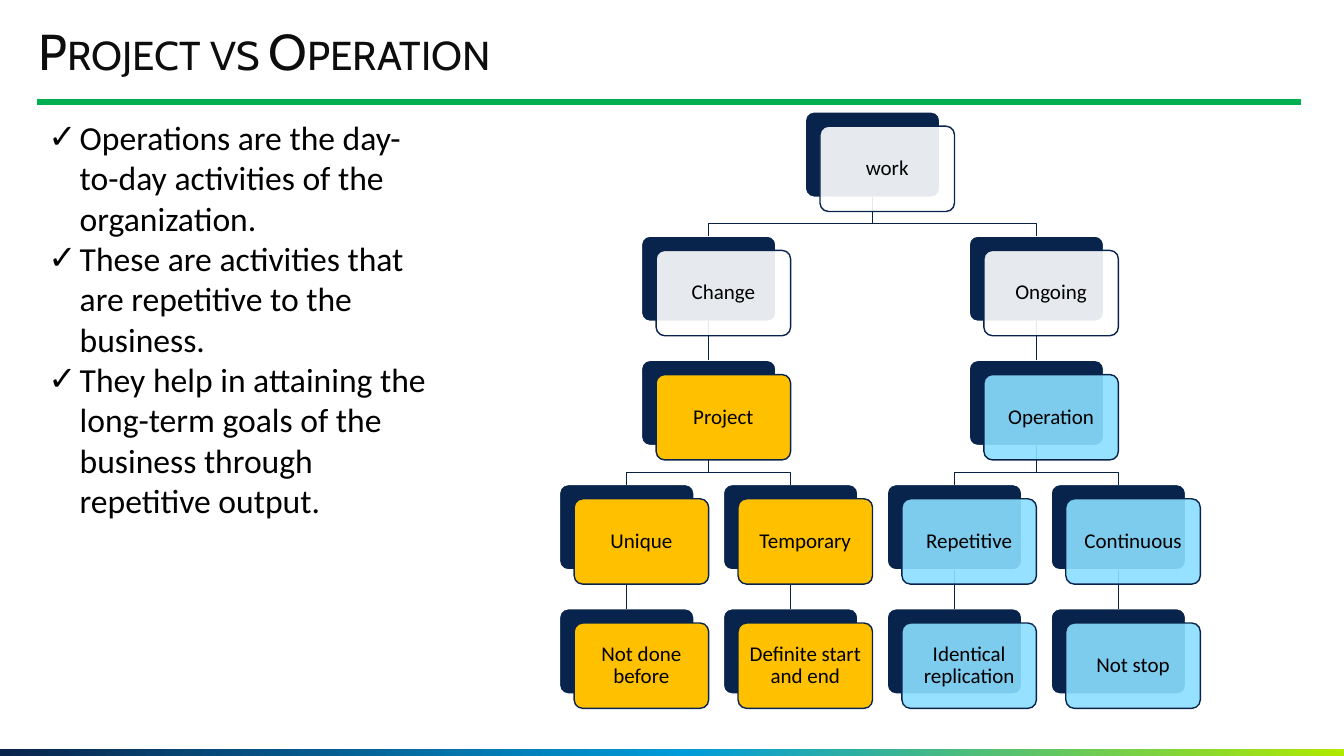
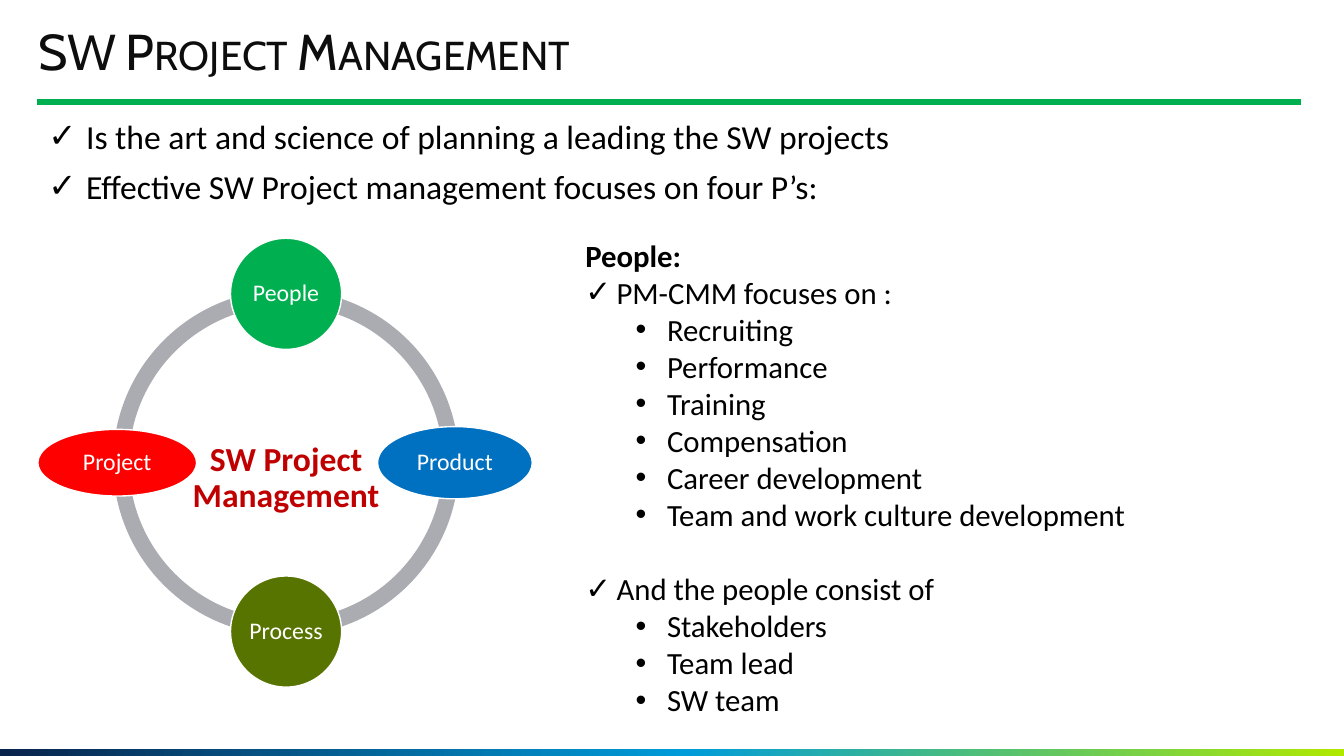
from lxml.etree import SubElement
from pptx import Presentation
from pptx.dml.color import RGBColor
from pptx.enum.shapes import MSO_CONNECTOR, MSO_SHAPE as Preset
from pptx.enum.text import MSO_ANCHOR as Anchor, PP_ALIGN as Align
from pptx.oxml.ns import qn
from pptx.util import Cm, Pt

WHITE = RGBColor(0xFF, 0xFF, 0xFF)
BLACK = RGBColor(0, 0, 0)
TITLE_INK = RGBColor(0x0D, 0x0D, 0x0D)
NAVY = RGBColor(0x09, 0x24, 0x4C)
LINK_NAVY = RGBColor(0x08, 0x21, 0x45)
BLUE = RGBColor(0x00, 0x9C, 0xDA)
LIME = RGBColor(0xB0, 0xE9, 0x00)
GREEN = RGBColor(0x00, 0xB0, 0x50)
AMBER = RGBColor(0xFF, 0xC0, 0x00)
SKY = RGBColor(0x8A, 0xDE, 0xFF)
RING_GREY = RGBColor(0xAB, 0xAC, 0xB2)
PRODUCT_BLUE = RGBColor(0x00, 0x70, 0xC0)
OLIVE = RGBColor(0x58, 0x74, 0x00)
RED = RGBColor(0xFF, 0, 0)
DARK_RED = RGBColor(0xC0, 0, 0)

TITLE_FONT, BODY_FONT = "Cabin", "Calibri"
SLIDE_W, SLIDE_H = 33.87, 19.05
MARGIN = 0.97
BAND_H = 0.18
CHECK, DOT = "✓", "•"

CARD_W, CARD_H = 3.39, 2.15
CARD_SHIFT_X, CARD_SHIFT_Y = 0.37, 0.36
COLUMN_PITCH, LEVEL_PITCH = 4.13, 3.13
ELBOW_DROP = 0.67

# Each node: label, fill, opacity in percent, children
WORK_TREE = ("work", WHITE, 90, [
    ("Change", WHITE, 90, [
        ("Project", AMBER, 100, [
            ("Unique", AMBER, 100, [("Not done before", AMBER, 100, [])]),
            ("Temporary", AMBER, 100, [("Definite start and end", AMBER, 100, [])]),
        ])]),
    ("Ongoing", WHITE, 90, [
        ("Operation", SKY, 90, [
            ("Repetitive", SKY, 90, [("Identical replication", SKY, 90, [])]),
            ("Continuous", SKY, 90, [("Not stop", SKY, 90, [])]),
        ])]),
])

# Label, fill, width, height, direction from the ring's centre
FOUR_PS = [
    ("People", GREEN, 2.8, 2.8, (0, -1)),
    ("Product", PRODUCT_BLUE, 3.9, 1.82, (1, 0)),
    ("Process", OLIVE, 2.8, 2.8, (0, 1)),
    ("Project", RED, 4, 1.68, (-1, 0)),
]

OPERATION_POINTS = [
    "Operations are the day-to-day activities of the organization.",
    "These are activities that are repetitive to the business.",
    "They help in attaining the long-term goals of the business through repetitive output.",
]
MANAGEMENT_POINTS = [
    "Is the art and science of planning a leading the SW projects",
    "Effective SW Project management focuses on four P’s:",
]
PEOPLE_GROUPS = [
    ("PM-CMM focuses on :", ["Recruiting", "Performance", "Training", "Compensation",
                             "Career development", "Team and work culture development"]),
    ("And the people consist of", ["Stakeholders", "Team lead", "SW team"]),
]


def style_runs(paragraph, size, color, font=BODY_FONT, bold=False):
    for run in paragraph.runs:
        run.font.name = font
        run.font.size = Pt(size)
        run.font.bold = bold
        run.font.color.rgb = color


def set_bullet(paragraph, mark, left, hang):
    props = paragraph._p.get_or_add_pPr()
    props.set("marL", str(Cm(left)))
    props.set("indent", str(-Cm(hang)))
    SubElement(props, qn("a:buFont"), typeface="Arial")
    SubElement(props, qn("a:buChar"), char=mark)


def add_text_area(slide, left, top, width, height, inset=None):
    area = slide.shapes.add_textbox(Cm(left), Cm(top), Cm(width), Cm(height))
    area.text_frame.word_wrap = True
    if inset is not None:
        set_insets(area.text_frame, inset)
    return area.text_frame


def set_insets(frame, inset):
    frame.margin_left = frame.margin_right = Cm(inset)
    frame.margin_top = frame.margin_bottom = Cm(inset)


def write_label(frame, text, size, color, inset, bold=False):
    """Write one centred label in the middle of a frame."""
    frame.word_wrap = True
    frame.vertical_anchor = Anchor.MIDDLE
    set_insets(frame, inset)
    frame.text = text
    label = frame.paragraphs[0]
    label.alignment = Align.CENTER
    label.line_spacing = 0.9
    style_runs(label, size, color, bold=bold)


def append_paragraph(frame, text):
    first = frame.paragraphs[0]
    paragraph = frame.add_paragraph() if first.runs else first
    paragraph.text = text
    return paragraph


def add_solid(slide, preset, left, top, width, height, fill, outline=None, opacity=100):
    solid = slide.shapes.add_shape(preset, Cm(left), Cm(top), Cm(width), Cm(height))
    solid.shadow.inherit = False
    solid.fill.solid()
    solid.fill.fore_color.rgb = fill
    if opacity < 100:
        tint = solid.element.spPr.find(qn("a:solidFill")).find(qn("a:srgbClr"))
        SubElement(tint, qn("a:alpha"), val=str(opacity * 1000))
    if outline is None:
        solid.line.fill.background()
    else:
        solid.line.color.rgb = outline
        solid.line.width = Pt(1)
    return solid


def add_line(slide, start, end, color, width):
    line = slide.shapes.add_connector(
        MSO_CONNECTOR.STRAIGHT, *(Cm(value) for value in (*start, *end)))
    line.line.color.rgb = color
    line.line.width = Pt(width)
    SubElement(line.element.spPr, qn("a:effectLst"))
    return line


def add_footer_band(slide):
    band = add_solid(slide, Preset.RECTANGLE, 0, SLIDE_H - BAND_H, SLIDE_W, BAND_H, NAVY)
    band.fill.gradient()
    band.fill.gradient_angle = 0
    stops = band.element.spPr.find(qn("a:gradFill")).find(qn("a:gsLst"))
    for stop in list(stops):
        stops.remove(stop)
    for percent, color in ((0, NAVY), (51, BLUE), (100, LIME)):
        stop = SubElement(stops, qn("a:gs"), pos=str(percent * 1000))
        SubElement(stop, qn("a:srgbClr"), val=str(color))


def add_titled_slide(deck, title):
    slide = deck.slides.add_slide(deck.slide_layouts[6])
    add_footer_band(slide)
    add_line(slide, (0.94, 2.57), (32.79, 2.57), GREEN, 4.5)
    frame = add_text_area(slide, MARGIN, 0.69, 28.42, 1.4, inset=0)
    frame.text = title
    heading = frame.paragraphs[0]
    heading.line_spacing = 0.9
    style_runs(heading, 36, TITLE_INK, TITLE_FONT)
    for run in heading.runs:
        run.font._element.set("cap", "small")
    return slide


def add_checklist(slide, box, points, indent, line_spacing=1.0, gap=0):
    frame = add_text_area(slide, *box)
    for index, point in enumerate(points):
        paragraph = append_paragraph(frame, point)
        set_bullet(paragraph, CHECK, indent, indent)
        paragraph.line_spacing = line_spacing
        if index:
            paragraph.space_before = Pt(gap)
        style_runs(paragraph, 24, BLACK)


def count_leaves(node):
    return sum(map(count_leaves, node[3])) or 1


def link_cards(slide, parent, child):
    """Join two cards, straight when aligned and with an elbow otherwise."""
    start_x, start_y = parent.left + parent.width // 2, parent.top + parent.height
    end_x = child.left + child.width // 2
    if abs(start_x - end_x) < Cm(0.01):
        link = add_line(slide, (0, 0), (0, 0), LINK_NAVY, 1)
        link.begin_connect(parent, 2)
        link.end_connect(child, 0)
        return
    bend_y = start_y + Cm(ELBOW_DROP)
    builder = slide.shapes.build_freeform(start_x, start_y)
    builder.add_line_segments(
        [(start_x, bend_y), (end_x, bend_y), (end_x, child.top)], close=False)
    elbow = builder.convert_to_shape()
    elbow.shadow.inherit = False
    elbow.fill.background()
    elbow.line.color.rgb = LINK_NAVY
    elbow.line.width = Pt(1)


def add_work_tree(slide, left, top, root):
    fronts = []

    def add_card(x, y, fill, outline, opacity=100):
        card = add_solid(slide, Preset.ROUNDED_RECTANGLE, x, y, CARD_W, CARD_H,
                         fill, outline, opacity)
        card.adjustments[0] = 0.1
        return card

    def place_branch(node, column, level):
        label, fill, opacity, children = node
        x = left + (column + (count_leaves(node) - 1) / 2) * COLUMN_PITCH
        y = top + level * LEVEL_PITCH
        back = add_card(x, y, NAVY, WHITE)
        fronts.append((label, x + CARD_SHIFT_X, y + CARD_SHIFT_Y, fill, opacity))
        for child in children:
            link_cards(slide, back, place_branch(child, column, level + 1))
            column += count_leaves(child)
        return back

    place_branch(root, 0, 0)
    for label, x, y, fill, opacity in fronts:
        front = add_card(x, y, fill, NAVY, opacity)
        write_label(front.text_frame, label, 15, BLACK, 0.15)


def add_four_p_ring(slide, left, top, diameter):
    arc_turn = 54  # a quarter turn, in the preset's adjustment units
    for quarter in range(4):
        arc = add_solid(slide, Preset.BLOCK_ARC, left, top, diameter, diameter, RING_GREY)
        arc.adjustments[0] = quarter * arc_turn
        arc.adjustments[1] = (quarter + 1) % 4 * arc_turn
        arc.adjustments[2] = 0.046
    center_x, center_y = left + diameter / 2, top + diameter / 2
    hub_w, hub_h = 5.2, 2.84
    hub = add_text_area(slide, center_x - hub_w / 2, center_y - hub_h / 2 + 0.4, hub_w, hub_h)
    write_label(hub, "SW Project Management", 24, DARK_RED, 0.08, bold=True)
    reach = diameter / 2 * 0.976
    for label, fill, width, height, (across, down) in FOUR_PS:
        node = add_solid(slide, Preset.OVAL,
                         center_x + across * reach - width / 2,
                         center_y + down * reach - height / 2,
                         width, height, fill, WHITE)
        write_label(node.text_frame, label, 17, WHITE, 0.05)


def add_people_outline(slide, box):
    frame = add_text_area(slide, *box)
    style_runs(append_paragraph(frame, "People:"), 22, BLACK, bold=True)
    for index, (topic, items) in enumerate(PEOPLE_GROUPS):
        heading = append_paragraph(frame, topic)
        set_bullet(heading, CHECK, 0.79, 0.79)
        if index:
            heading.space_before = Pt(27)
        style_runs(heading, 22, BLACK)
        for item in items:
            entry = append_paragraph(frame, item)
            entry.level = 1
            set_bullet(entry, DOT, 2.06, 0.79)
            style_runs(entry, 22, BLACK)


def build_operation_slide(deck):
    slide = add_titled_slide(deck, "Project vs Operation")
    add_checklist(slide, (MARGIN, 2.82, 10.19, 10.52), OPERATION_POINTS, indent=0.79)
    add_work_tree(slide, 14.1, 2.82, WORK_TREE)


def build_management_slide(deck):
    slide = add_titled_slide(deck, "SW Project Management")
    add_checklist(slide, (MARGIN, 2.9, 31.83, 2.62), MANAGEMENT_POINTS,
                  indent=0.95, line_spacing=0.9, gap=10)
    add_four_p_ring(slide, 2.85, 7.3, 8.72)
    add_people_outline(slide, (14.5, 5.84, 16.94, 12.47))


def main():
    deck = Presentation()
    deck.slide_width, deck.slide_height = Cm(SLIDE_W), Cm(SLIDE_H)
    build_operation_slide(deck)
    build_management_slide(deck)
    deck.save("out.pptx")


if __name__ == "__main__":
    main()
